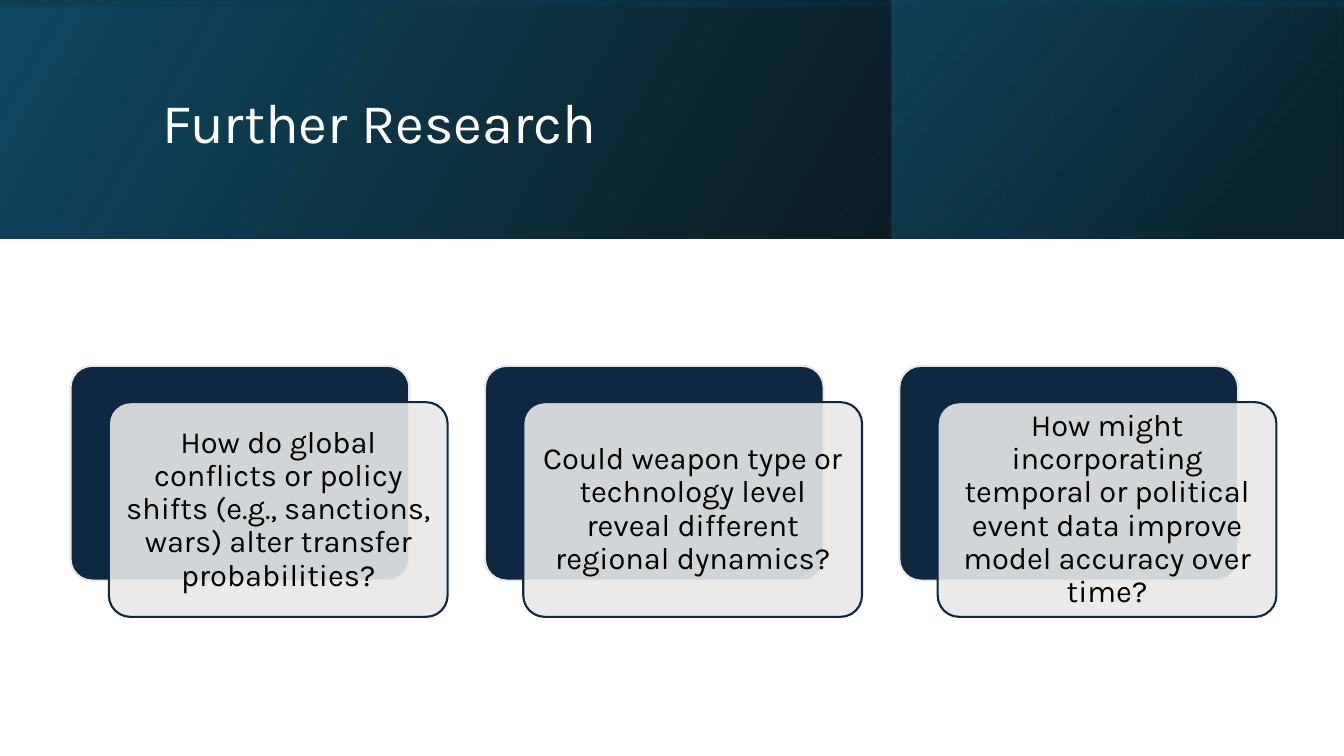
"""Build the Further Research slide with a gradient banner and three question cards."""
from dataclasses import dataclass

from lxml import etree
from pptx import Presentation
from pptx import util as u
from pptx.dml.color import RGBColor
from pptx.enum import shapes, text
from pptx.oxml.ns import qn

PX = 9144
FONT = "Karla"
NAVY, GREY, WHITE, BLACK = "0E2841", "E8E8E8", "FFFFFF", "000000"
CARD_WIDTH, CARD_HEIGHT = 336, 213
CARD_LEFT, CARD_TOP, CARD_PITCH = 70, 363, 411
FRONT_SHIFT_X, FRONT_SHIFT_Y = 38, 36
TEXT_MARGIN = 6


@dataclass(frozen=True)
class Box:
    """A rectangle in px."""
    left: int
    top: int
    width: int
    height: int

    def emu(self) -> list[u.Emu]:
        """Return the four lengths in EMU."""
        return [u.Emu(value * PX) for value in (self.left, self.top, self.width, self.height)]


@dataclass(frozen=True)
class Stop:
    """A gradient stop with position and opacity in percent."""
    position: int
    color: str
    opacity: int


@dataclass(frozen=True)
class BannerLayer:
    """A mirrored gradient rectangle with its clockwise gradient angle."""
    box: Box
    stops: tuple[Stop, Stop]
    angle: int
    rotation: int = 0


BANNER_LAYERS = (
    BannerLayer(Box(0, 0, 1333, 237), (Stop(0, BLACK, 96), Stop(100, "104862", 100)), 330),
    BannerLayer(Box(884, 0, 448, 237), (Stop(19, "0B3041", 68), Stop(100, "156082", 48)), 320),
    BannerLayer(Box(548, -548, 237, 1333), (Stop(23, "104862", 16), Stop(99, BLACK, 45)), 350, 270),
)
QUESTIONS = (
    "How do global conflicts or policy shifts (e.g., sanctions, wars) alter transfer probabilities?",
    "Could weapon type or technology level reveal different regional dynamics?",
    "How might incorporating temporal or political event data improve model accuracy over time?",
)


def rgb(color: str) -> RGBColor:
    """Convert a hex string to a colour."""
    return RGBColor.from_string(color)


def set_opacity(shape, opacities: list[int]) -> None:
    """Give each fill colour of the shape its opacity in percent."""
    for color, opacity in zip(shape._element.spPr.iter(qn("a:srgbClr")), opacities):
        if opacity < 100:
            etree.SubElement(color, qn("a:alpha"), val=str(opacity * 1000))


def add_banner_layer(container, layer: BannerLayer) -> None:
    """Draw one mirrored gradient rectangle."""
    shape = container.add_shape(shapes.MSO_SHAPE.RECTANGLE, *layer.box.emu())
    shape.shadow.inherit = False
    shape.rotation = layer.rotation
    shape._element.spPr.xfrm.set("flipH", "1")
    shape.fill.gradient()
    shape.fill.gradient_angle = 360 - layer.angle
    for gradient_stop, stop in zip(shape.fill.gradient_stops, layer.stops):
        gradient_stop.position = stop.position / 100
        gradient_stop.color.rgb = rgb(stop.color)
    set_opacity(shape, [stop.opacity for stop in layer.stops])
    shape.line.fill.background()


def add_panel(container, box: Box, *, fill: str, line: str, opacity: int = 100) -> None:
    """Draw one rounded panel of a card."""
    shape = container.add_shape(shapes.MSO_SHAPE.ROUNDED_RECTANGLE, *box.emu())
    shape.shadow.inherit = False
    shape.adjustments[0] = 0.1
    shape.fill.solid()
    shape.fill.fore_color.rgb = rgb(fill)
    set_opacity(shape, [opacity])
    shape.line.color.rgb = rgb(line)
    shape.line.width = u.Pt(1.5)


def add_text(container, box: Box, wording: str, *, size: int, color: str,
             align: text.PP_ALIGN, margins: tuple[int, int]) -> None:
    """Write one vertically centred paragraph."""
    frame = container.add_textbox(*box.emu()).text_frame
    frame.word_wrap = True
    frame.vertical_anchor = text.MSO_ANCHOR.MIDDLE
    frame.margin_left = frame.margin_right = u.Emu(margins[0] * PX)
    frame.margin_top = frame.margin_bottom = u.Emu(margins[1] * PX)
    paragraph = frame.paragraphs[0]
    paragraph.alignment = align
    paragraph.line_spacing = 0.9
    run = paragraph.add_run()
    run.text = wording
    run.font.name = FONT
    run.font.size = u.Pt(size)
    run.font.color.rgb = rgb(color)


def add_card(container, left: int, question: str) -> None:
    """Draw a back panel, a translucent front panel and the question."""
    back = Box(left, CARD_TOP, CARD_WIDTH, CARD_HEIGHT)
    front = Box(left + FRONT_SHIFT_X, CARD_TOP + FRONT_SHIFT_Y, CARD_WIDTH, CARD_HEIGHT)
    inner = Box(front.left + TEXT_MARGIN, front.top + TEXT_MARGIN,
                CARD_WIDTH - 2 * TEXT_MARGIN, CARD_HEIGHT - 2 * TEXT_MARGIN)
    add_panel(container, back, fill=NAVY, line=GREY)
    add_panel(container, front, fill=GREY, line=NAVY, opacity=90)
    add_text(container, inner, question, size=22, color=BLACK,
             align=text.PP_ALIGN.CENTER, margins=(9, 9))


def main() -> None:
    """Build and save the presentation."""
    presentation = Presentation()
    presentation.slide_width = u.Emu(1333 * PX)
    presentation.slide_height = u.Emu(750 * PX)
    slide = presentation.slides.add_slide(presentation.slide_layouts[6])
    for layer in BANNER_LAYERS:
        add_banner_layer(slide.shapes, layer)
    add_text(slide.shapes, Box(151, 38, 1063, 172), "Further Research", size=40,
             color=WHITE, align=text.PP_ALIGN.LEFT, margins=(10, 5))
    cards = slide.shapes.add_group_shape().shapes
    for index, question in enumerate(QUESTIONS):
        add_card(cards, CARD_LEFT + index * CARD_PITCH, question)
    presentation.save("out.pptx")


if __name__ == "__main__":
    main()
